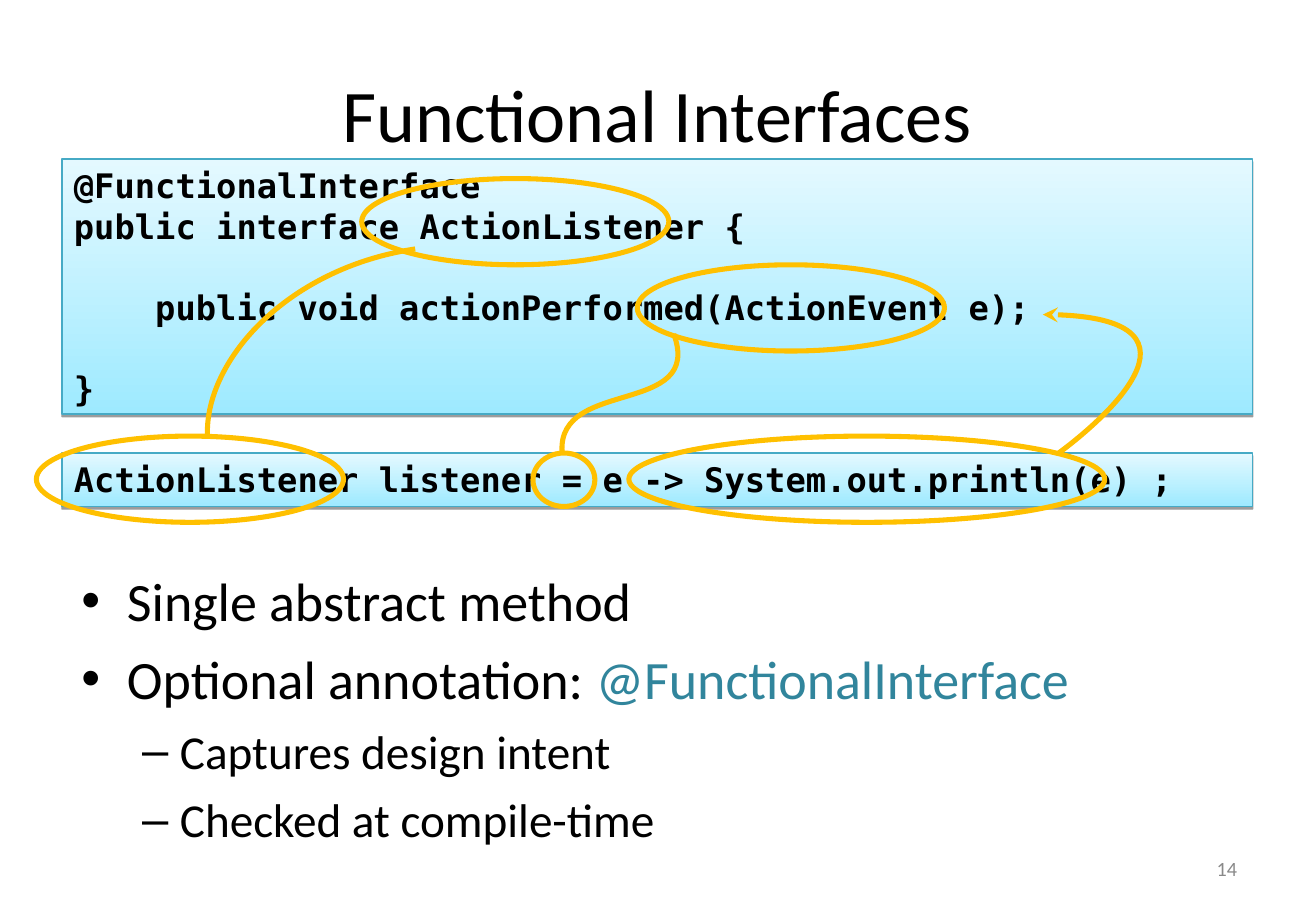
from pptx import Presentation
from pptx.dml.color import RGBColor
from pptx.enum.shapes import MSO_SHAPE
from pptx.enum.text import MSO_ANCHOR, MSO_AUTO_SIZE, PP_ALIGN
from pptx.oxml import parse_xml
from pptx.oxml.ns import nsdecls
from pptx.util import Inches, Pt

RECT, OVAL = MSO_SHAPE.RECTANGLE, MSO_SHAPE.OVAL
TOP, MIDDLE = MSO_ANCHOR.TOP, MSO_ANCHOR.MIDDLE
LEFT, CENTER, RIGHT = PP_ALIGN.LEFT, PP_ALIGN.CENTER, PP_ALIGN.RIGHT
FIXED = MSO_AUTO_SIZE.NONE
COLORS = {
    "text": "000000", "note": "31859C", "page": "898989",
    "deep": "9EEAFF", "pale": "E4F9FF", "edge": "46AAC5", "mark": "FFC000",
}
SANS, MONO = "Calibri", "DejaVu Sans Mono"


def rgb(name):
    return RGBColor.from_string(COLORS[name])


def style(para, face, size, color, bold=False):
    for run in para.runs:
        run.font.name = face
        run.font.size = Pt(size)
        run.font.bold = bold
        run.font.color.rgb = rgb(color)


deck = Presentation()
deck.slide_width, deck.slide_height = Inches(10.84), Inches(7.5)
slide = deck.slides.add_slide(deck.slide_layouts[1])
shapes = slide.shapes

title, body = shapes.title, slide.placeholders[1]
for holder, top, height, left in ((title, 0.3, 1.25, 0.54), (body, 4.62, 2.52, 0.57)):
    holder.left, holder.top = Inches(left), Inches(top)
    holder.width, holder.height = Inches(9.75), Inches(height)
    holder.text_frame.auto_size = FIXED
title.text_frame.text = "Functional Interfaces"
title.text_frame.vertical_anchor = MIDDLE
title.text_frame.paragraphs[0].alignment = CENTER
style(title.text_frame.paragraphs[0], SANS, 44, "text")

points = [
    (0, ["Single abstract method"]),
    (0, ["Optional annotation: ", "@FunctionalInterface"]),
    (1, ["Captures design intent"]),
    (1, ["Checked at compile-time"]),
]
frame = body.text_frame
for index, (level, parts) in enumerate(points):
    para = frame.add_paragraph() if index else frame.paragraphs[0]
    para.level = level
    para.space_before = Pt(8 - level if index else 0)
    for part in parts:
        para.add_run().text = part
    style(para, SANS, 32 - 4 * level, "text")
frame.paragraphs[1].runs[1].font.color.rgb = rgb("note")

blocks = [
    (1.31, 2.1, """@FunctionalInterface
public interface ActionListener {

    public void actionPerformed(ActionEvent e);

}"""),
    (3.73, 0.44, "ActionListener listener = e -> System.out.println(e) ;"),
]
for top, height, code in blocks:
    box = shapes.add_shape(RECT, Inches(0.51), Inches(top), Inches(9.81), Inches(height))
    box.shadow.inherit = False
    box.fill.gradient()
    box.fill.gradient_angle = 90
    for stop, place, name in zip(box.fill.gradient_stops, (0, 1), ("deep", "pale")):
        stop.position = place
        stop.color.rgb = rgb(name)
    box.line.color.rgb = rgb("edge")
    box.line.width = Pt(0.75)
    box._element.spPr.find("{*}effectLst").append(parse_xml(
        f'<a:outerShdw {nsdecls("a")} blurRad="0" dist="{Pt(1.6)}" dir="5400000" rotWithShape="0">'
        f'<a:srgbClr val="{COLORS["text"]}"><a:alpha val="38000"/></a:srgbClr></a:outerShdw>'))
    box.text_frame.text = code
    box.text_frame.vertical_anchor = TOP
    for para in box.text_frame.paragraphs:
        para.alignment = LEFT
        para.font.size = Pt(20)
        style(para, MONO, 20, "text", True)

marks = []
rings = [
    (5.18, 3.59, 3.92, 0.71),
    (4.39, 3.73, 0.51, 0.44),
    (0.3, 3.59, 2.53, 0.71),
    (2.98, 1.47, 2.53, 0.71),
    (5.25, 2.18, 2.53, 0.71),
]
for ring in rings:
    marks.append(shapes.add_shape(OVAL, *map(Inches, ring)))

curves = [
    [(4.63, 3.72), (4.59, 3.11), (5.8, 3.43), (5.55, 2.75)],
    [(1.71, 3.61), (1.67, 2.99), (2.35, 2.21), (3.42, 2.05)],
    [(8.72, 3.73), (9.06, 3.48), (10.11, 2.59), (8.59, 2.59)],
]
for start, *rest in curves:
    pen = shapes.build_freeform(Inches(start[0]), Inches(start[1]))
    pen.add_line_segments([(Inches(x), Inches(y)) for x, y in rest], close=False)
    curve = pen.convert_to_shape()
    steps = curve._element.xpath(".//a:lnTo")
    bend = parse_xml(f'<a:cubicBezTo {nsdecls("a")}/>')
    steps[0].addprevious(bend)
    for step in steps:
        bend.append(step[0])
        step.getparent().remove(step)
    marks.append(curve)

for mark in marks:
    mark.shadow.inherit = False
    mark.fill.background()
    mark.line.color.rgb = rgb("mark")
    mark.line.width = Pt(3)
marks[-1].line._get_or_add_ln().append(
    parse_xml(f'<a:tailEnd {nsdecls("a")} type="stealth"/>'))

page = shapes.add_textbox(Inches(7.76), Inches(6.95), Inches(2.53), Inches(0.4))
page.text_frame.word_wrap = True
page.text_frame.vertical_anchor = MIDDLE
page.text_frame.text = "14"
page.text_frame.paragraphs[0].alignment = RIGHT
style(page.text_frame.paragraphs[0], SANS, 12, "page")

deck.save("out.pptx")
